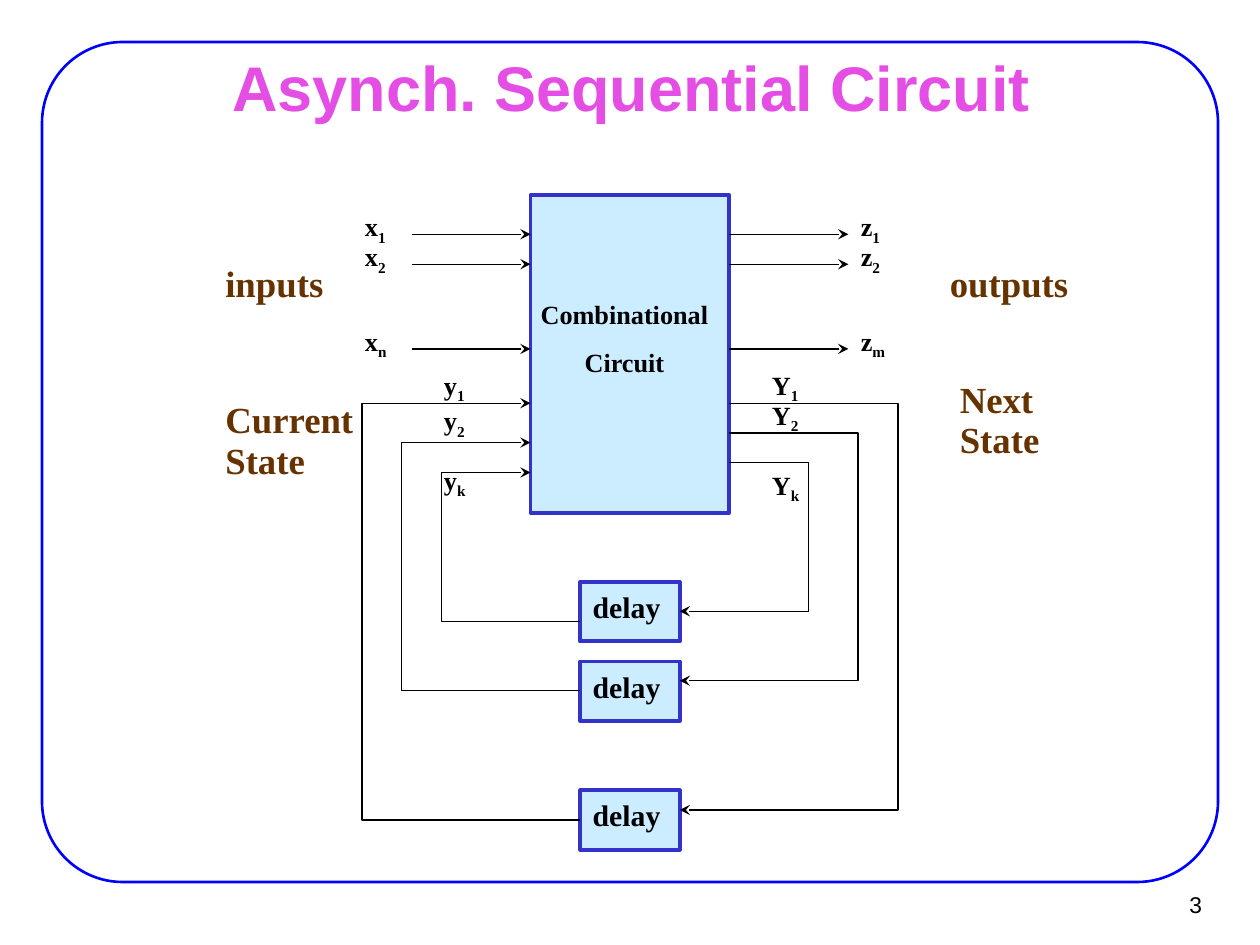
from lxml.etree import SubElement
from pptx import Presentation
from pptx.dml.color import RGBColor
from pptx.enum.shapes import MSO_CONNECTOR, MSO_SHAPE
from pptx.enum.text import MSO_ANCHOR, MSO_AUTO_SIZE, PP_ALIGN
from pptx.oxml.ns import qn
from pptx.util import Pt

BLACK = RGBColor(0x00, 0x00, 0x00)
BROWN = RGBColor(0x66, 0x33, 0x00)
PINK = RGBColor(0xE4, 0x4E, 0xE4)
FRAME_BLUE = RGBColor(0x00, 0x00, 0xFF)
BLOCK_EDGE = RGBColor(0x33, 0x33, 0xCC)
BLOCK_FILL = RGBColor(0xCC, 0xEC, 0xFF)


def outline(shape, color, width, arrow=False):
    shape.line.color.rgb = color
    shape.line.width = Pt(width)
    properties = shape._element.spPr
    if arrow:
        SubElement(properties.find(qn("a:ln")), qn("a:tailEnd"), type="stealth")
    SubElement(properties, qn("a:effectLst"))


def label(lines, left, top, width, height, size, color=BLACK, align=PP_ALIGN.LEFT, spacing=None):
    frame = slide.shapes.add_textbox(Pt(left), Pt(top), Pt(width), Pt(height)).text_frame
    frame_format = {
        "word_wrap": True, "auto_size": MSO_AUTO_SIZE.SHAPE_TO_FIT_TEXT,
        "margin_left": Pt(7.2), "margin_right": Pt(7.2),
        "margin_top": Pt(3.6), "margin_bottom": Pt(3.6),
    }
    for name, value in frame_format.items():
        setattr(frame, name, value)
    for index, line in enumerate(lines):
        paragraph = frame.add_paragraph() if index else frame.paragraphs[0]
        paragraph.alignment = align
        paragraph.space_before = Pt(size * 0.625)
        paragraph.line_spacing = spacing
        base, _, subscript = line.partition("_")
        for text in filter(None, (base, subscript)):
            run = paragraph.add_run()
            run.text = text
            for name, value in {"name": "Times New Roman", "size": Pt(size), "bold": True}.items():
                setattr(run.font, name, value)
            run.font.color.rgb = color
        if subscript:
            run._r.get_or_add_rPr().set("baseline", "-25000")


deck = Presentation()
deck.slide_width, deck.slide_height = Pt(720), Pt(540)
slide = deck.slides.add_slide(deck.slide_layouts[5])

frame_border = slide.shapes.add_shape(MSO_SHAPE.ROUNDED_RECTANGLE, Pt(24), Pt(24), Pt(672), Pt(480))
frame_border.adjustments[0] = 0.096
frame_border.fill.background()
outline(frame_border, FRAME_BLUE, 1.5)

title = slide.shapes.title
title_box = {"left": Pt(54.7), "top": Pt(31.7), "width": Pt(612), "height": Pt(35.3)}
for name, value in title_box.items():
    setattr(title, name, value)
title.text_frame.text = "Asynch. Sequential Circuit"
title.text_frame.auto_size = MSO_AUTO_SIZE.NONE
title.text_frame.vertical_anchor = MSO_ANCHOR.MIDDLE
heading = title.text_frame.paragraphs[0]
heading.alignment = PP_ALIGN.CENTER
for name, value in {"name": "Arial", "size": Pt(36), "bold": True}.items():
    setattr(heading.runs[0].font, name, value)
heading.runs[0].font.color.rgb = PINK

page = slide.shapes.add_textbox(Pt(649.4), Pt(503.3), Pt(43.9), Pt(26.6)).text_frame
page.text = "3"
page.word_wrap = False
page.vertical_anchor = MSO_ANCHOR.MIDDLE
page.margin_left = page.margin_right = Pt(6.5)
page.paragraphs[0].alignment = PP_ALIGN.RIGHT
for name, value in {"name": "Arial", "size": Pt(13)}.items():
    setattr(page.paragraphs[0].runs[0].font, name, value)
page.paragraphs[0].runs[0].font.color.rgb = BLACK

circuit_left, circuit_right = 303.2, 416.8
delay_left, delay_width = 331.6, 56.8
delay_right = delay_left + delay_width
delay_tops = (332.6, 378, 451.6)

blocks = [(circuit_left, 111.6, circuit_right - circuit_left, 181.4)]
blocks += [(delay_left, top, delay_width, 34) for top in delay_tops]
for block in blocks:
    box = slide.shapes.add_shape(MSO_SHAPE.RECTANGLE, *map(Pt, block))
    box.fill.solid()
    box.fill.fore_color.rgb = BLOCK_FILL
    outline(box, BLOCK_EDGE, 2.25)
for top in delay_tops:
    label(["delay"], delay_left, top + 0.4, delay_width, 28.1, 17)
label(["Combinational", "Circuit"], 297.4, 167, 118.8, 52.6, 15, align=PP_ALIGN.CENTER)

feedback = [
    (circuit_right, 230.4, 513.2, 462.8, delay_right),
    (circuit_right, 247.5, 490.3, 389, delay_right),
    (circuit_right, 264.4, 462, 349.3, delay_right),
    (delay_left, 355, 252.2, 270, circuit_left),
    (delay_left, 394.6, 229.5, 252.9, circuit_left),
    (delay_left, 468.6, 206.8, 230.4, circuit_left),
]
for start_x, start_y, turn_x, end_y, end_x in feedback:
    route = slide.shapes.build_freeform(Pt(start_x), Pt(start_y))
    corners = [(turn_x, start_y), (turn_x, end_y), (end_x, end_y)]
    route.add_line_segments([(Pt(x), Pt(y)) for x, y in corners], close=False)
    loop = route.convert_to_shape()
    loop.fill.background()
    outline(loop, BLACK, 0.75, arrow=True)

signals = [
    (133.9, "x_1", "z_1", 28.1),
    (151, "x_2", "z_2", 28.1),
    (199.4, "x_n", "z_m", 39.6),
]
for y, source, result, result_width in signals:
    for start_x, end_x in ((235.2, circuit_left), (circuit_right, 484.8)):
        wire = slide.shapes.add_connector(MSO_CONNECTOR.STRAIGHT, Pt(start_x), Pt(y), Pt(end_x), Pt(y))
        outline(wire, BLACK, 0.75, arrow=True)
    label([source], 201.4, y - 17.2, 28.1, 28.1, 15)
    label([result], 484.8, y - 17.2, result_width, 28.1, 15)

states = [
    ("y_1", 246.6, 207.4, 28.1), ("y_2", 246.6, 227.5, 28.1), ("y_k", 246.6, 261.7, 28.1),
    ("Y_1", 434, 207.4, 39.6), ("Y_2", 434, 224.4, 45.4), ("Y_k", 434, 264.4, 39.6),
]
for state, left, top, width in states:
    label([state], left, top, width, 28.1, 15)

captions = [
    (["inputs"], 121.7, 145.4, 136, 32.4, None),
    (["outputs"], 535.7, 145.4, 136, 32.4, None),
    (["Current", "State"], 121.7, 236.2, 90.7, 41, 0.4),
    (["Next", "State"], 541.4, 224.6, 90.7, 41, 0.4),
]
for lines, left, top, width, height, spacing in captions:
    label(lines, left, top, width, height, 21, BROWN, spacing=spacing)

deck.save("out.pptx")
